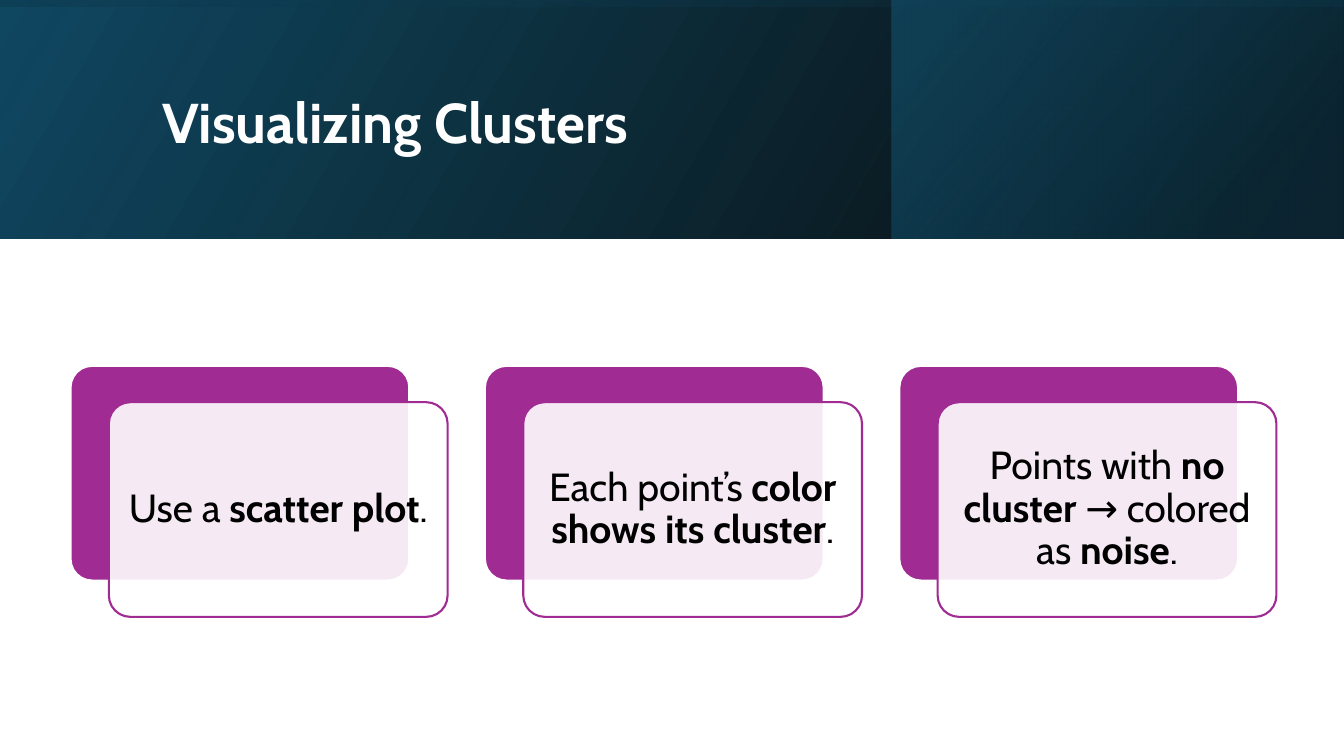
from pptx import Presentation
from pptx.dml.color import RGBColor
from pptx.enum.shapes import MSO_SHAPE
from pptx.enum.text import MSO_ANCHOR, PP_ALIGN
from pptx.oxml.ns import qn
from pptx.util import Inches, Pt
from lxml import etree

RECTANGLE = MSO_SHAPE.RECTANGLE
ROUNDED = MSO_SHAPE.ROUNDED_RECTANGLE
MIDDLE = MSO_ANCHOR.MIDDLE
LEFT, CENTER = PP_ALIGN.LEFT, PP_ALIGN.CENTER

WHITE = RGBColor(0xFF, 0xFF, 0xFF)
BLACK = RGBColor(0x00, 0x00, 0x00)
PURPLE = RGBColor(0xA0, 0x2B, 0x93)
NAVY = RGBColor(0x10, 0x48, 0x62)
DEEP_TEAL = RGBColor(0x0B, 0x30, 0x41)
TEAL = RGBColor(0x15, 0x60, 0x82)

SLIDE_WIDTH, SLIDE_HEIGHT = 13.33, 7.5
BANNER_HEIGHT = 2.37
CARD_LEFT, CARD_TOP, CARD_PITCH = 0.7, 3.63, 4.11
CARD_WIDTH, CARD_HEIGHT = 3.36, 2.13
FRONT_OFFSET_X, FRONT_OFFSET_Y = 0.38, 0.36
TEXT_MARGIN = 0.06

# Each card is a list of (text, bold) runs.
CARDS = [
    [("Use a ", False), ("scatter plot", True), (".", False)],
    [("Each point’s ", False), ("color shows its cluster", True), (".", False)],
    [("Points with ", False), ("no cluster", True), (" → colored as ", False),
     ("noise", True), (".", False)],
]


def set_opacity(color_parent, percent):
    """Give the colour inside a fill or gradient stop an opacity."""
    color = color_parent.find(qn("a:srgbClr"))
    etree.SubElement(color, qn("a:alpha"), val=str(percent * 1000))


class SlideBuilder:
    font = "Cabin"

    def __init__(self, presentation):
        self.slide = presentation.slides.add_slide(presentation.slide_layouts[5])

    def add_runs(self, frame, runs, size, color, align):
        frame.word_wrap = True
        frame.vertical_anchor = MIDDLE
        paragraph = frame.paragraphs[0]
        paragraph.alignment = align
        paragraph.line_spacing = 0.9
        for text, bold in runs:
            run = paragraph.add_run()
            run.text = text
            run.font.name = self.font
            run.font.size = Pt(size)
            run.font.bold = bold
            run.font.color.rgb = color

    def title(self, text, left, top, width, height):
        title = self.slide.shapes.title
        title.left, title.top = Inches(left), Inches(top)
        title.width, title.height = Inches(width), Inches(height)
        self.add_runs(title.text_frame, [(text, True)], 40, WHITE, LEFT)

    def shape(self, kind, left, top, width, height):
        shape = self.slide.shapes.add_shape(
            kind, Inches(left), Inches(top), Inches(width), Inches(height))
        shape.shadow.inherit = False
        return shape

    def gradient_panel(self, left, top, width, height, stops, angle, rotation=0):
        """Add a mirrored panel; stops are (position, colour, opacity in percent)."""
        panel = self.shape(RECTANGLE, left, top, width, height)
        panel.line.fill.background()
        panel.rotation = rotation
        panel._element.spPr.find(qn("a:xfrm")).set("flipH", "1")
        panel.fill.gradient()
        panel.fill.gradient_angle = angle
        for stop, (position, color, opacity) in zip(panel.fill.gradient_stops, stops):
            stop.position = position
            stop.color.rgb = color
            set_opacity(stop._gs, opacity)
        # Panels lie behind the title.
        title = self.slide.shapes.title._element
        title.addprevious(panel._element)

    def rounded_box(self, left, top, fill, line):
        box = self.shape(ROUNDED, left, top, CARD_WIDTH, CARD_HEIGHT)
        box.adjustments[0] = 0.1
        box.fill.solid()
        box.fill.fore_color.rgb = fill
        box.line.color.rgb = line
        box.line.width = Pt(1.5)
        return box

    def card(self, left, top, runs):
        self.rounded_box(left, top, PURPLE, WHITE)
        left, top = left + FRONT_OFFSET_X, top + FRONT_OFFSET_Y
        front = self.rounded_box(left, top, WHITE, PURPLE)
        set_opacity(front._element.spPr.find(qn("a:solidFill")), 90)
        label = self.slide.shapes.add_textbox(
            Inches(left + TEXT_MARGIN), Inches(top + TEXT_MARGIN),
            Inches(CARD_WIDTH - 2 * TEXT_MARGIN), Inches(CARD_HEIGHT - 2 * TEXT_MARGIN))
        frame = label.text_frame
        frame.margin_left = frame.margin_right = Inches(0.12)
        frame.margin_top = frame.margin_bottom = Inches(0.12)
        self.add_runs(frame, runs, 28, BLACK, CENTER)


def main():
    presentation = Presentation()
    presentation.slide_width = Inches(SLIDE_WIDTH)
    presentation.slide_height = Inches(SLIDE_HEIGHT)
    builder = SlideBuilder(presentation)

    builder.gradient_panel(0, 0, SLIDE_WIDTH, BANNER_HEIGHT,
                           [(0, BLACK, 96), (1, NAVY, 100)], 30)
    builder.gradient_panel(8.84, 0, 4.48, BANNER_HEIGHT,
                           [(0.19, DEEP_TEAL, 68), (1, TEAL, 48)], 40)
    # A quarter turn lays this tall panel across the whole banner.
    turn_offset = (SLIDE_WIDTH - BANNER_HEIGHT) / 2
    builder.gradient_panel(turn_offset, -turn_offset, BANNER_HEIGHT, SLIDE_WIDTH,
                           [(0.23, NAVY, 16), (0.99, BLACK, 45)], 10, rotation=270)
    builder.title("Visualizing Clusters", 1.51, 0.38, 10.63, 1.72)

    for index, runs in enumerate(CARDS):
        builder.card(CARD_LEFT + index * CARD_PITCH, CARD_TOP, runs)

    presentation.save("out.pptx")


if __name__ == "__main__":
    main()
